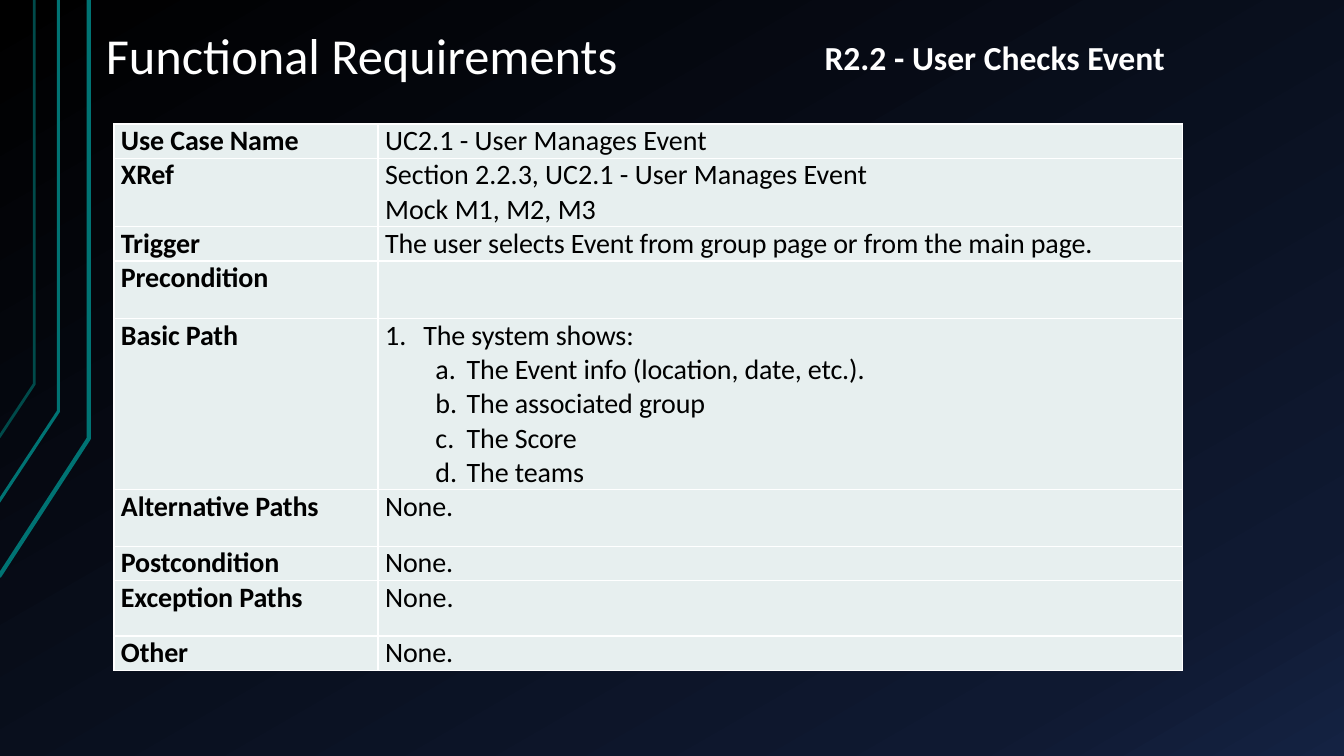
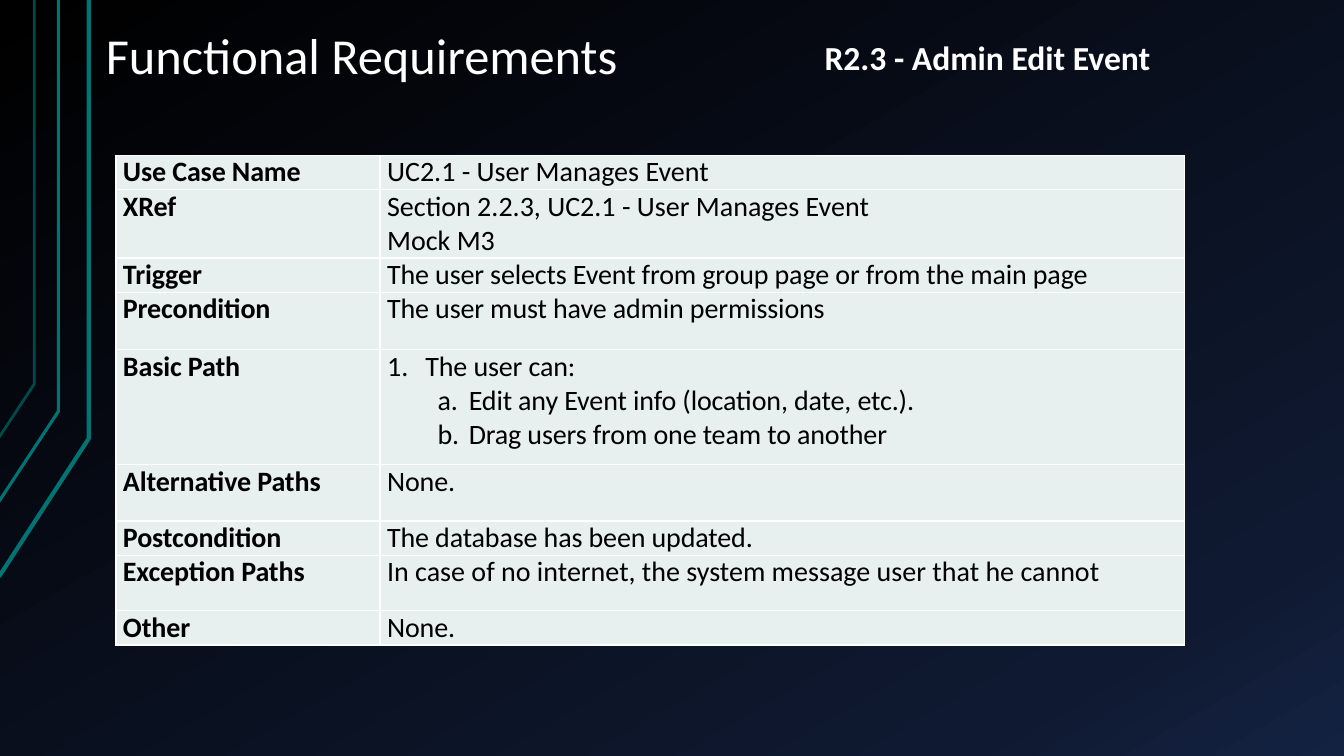
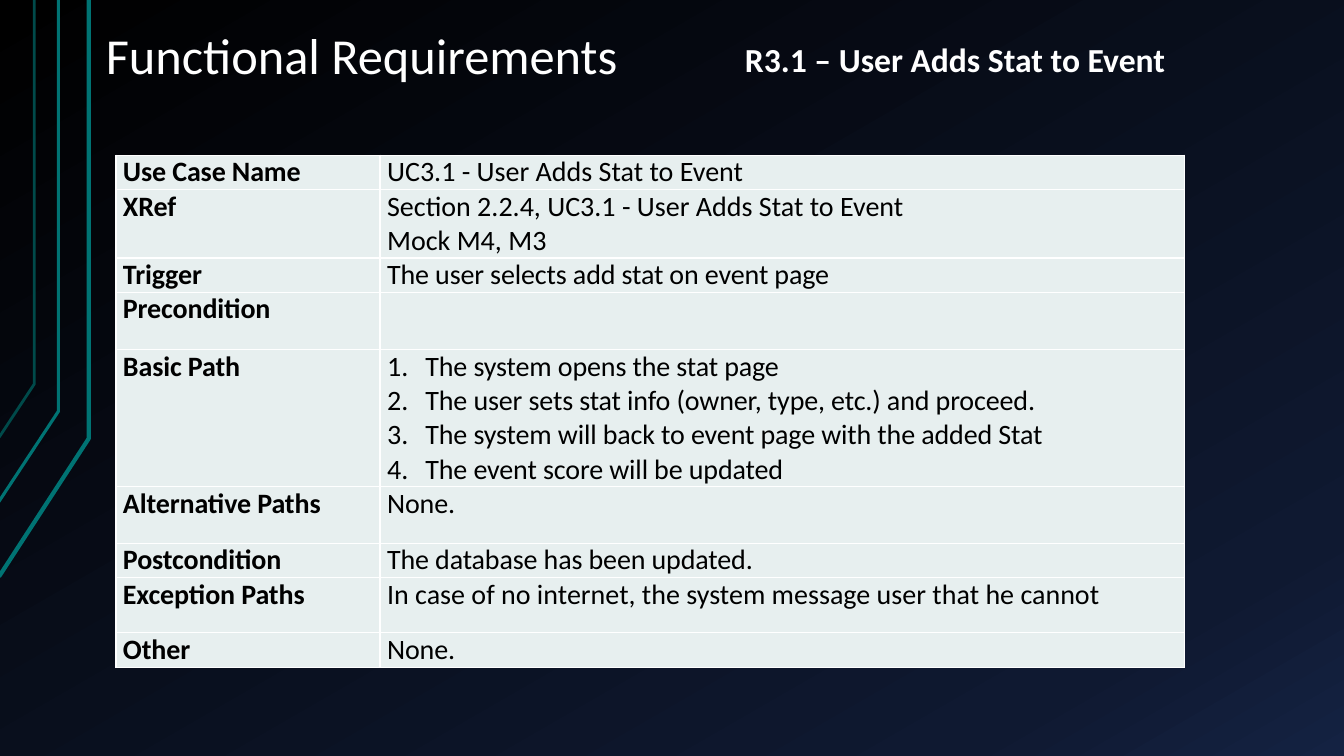
import copy
from dataclasses import dataclass

import pptx
import pptx.dml.color
import pptx.enum.text
import pptx.oxml
import pptx.oxml.ns
import pptx.util
from pptx.util import Inches

COLORS = {
    "white": "FFFFFF",
    "black": "000000",
    "cell": "E7EFEF",
    "teal": "007373",
    "dim_teal": "004A4A",
}
BACKGROUND = [(0, "000000"), (0.85, "0F1931"), (1, "142242")]
FONT = "Calibri"

COLUMNS = [2.62, 7.98]
LINE_HEIGHT = 0.34
# Least height of each row; longer values make it taller
ROWS = {
    "Use Case Name": 0.34,
    "XRef": 0.68,
    "Trigger": 0.34,
    "Precondition": 0.57,
    "Basic Path": 1.14,
    "Alternative Paths": 0.56,
    "Postcondition": 0.34,
    "Exception Paths": 0.55,
    "Other": 0.34,
}
NORMAL_SPACING = {"Use Case Name", "XRef", "Exception Paths"}


@dataclass
class Stripe:
    points: list[tuple[float, float]]
    color: str
    width: float


@dataclass
class ListStyle:
    numbering: str
    level: int
    margin: float
    hanging: float


@dataclass
class Line:
    text: str
    style: ListStyle | None = None


@dataclass
class UseCase:
    heading: str
    heading_at: tuple[float, float, float]
    table_at: tuple[float, float]
    values: list[list[Line]]


STRIPES = [
    Stripe([(-0.01, 5.72), (0.88, 4.35), (0.88, 0)], "teal", 3),
    Stripe([(-0.02, 4.99), (0.58, 4.08), (0.58, 0)], "teal", 2.25),
    Stripe([(-0.01, 4.34), (0.34, 3.81), (0.34, 0)], "dim_teal", 2),
]
STEP = ListStyle("arabicPeriod", 0, 0.38, 0.38)
SUBSTEP = ListStyle("alphaLcPeriod", 1, 0.81, 0.31)
NONE = [Line("None.")]
UPDATED = [Line("The database has been updated.")]
NO_INTERNET = [Line("In case of no internet, the system message user that he cannot")]

USE_CASES = [
    UseCase("R2.2 - User Checks Event", (8.08, 0.32, 3.61), (1.13, 1.23), [
        [Line("UC2.1 - User Manages Event")],
        [Line("Section 2.2.3, UC2.1 - User Manages Event"), Line("Mock M1, M2, M3")],
        [Line("The user selects Event from group page or from the main page.")],
        [],
        [Line("The system shows:", STEP),
         Line("The Event info (location, date, etc.).", SUBSTEP),
         Line("The associated group", SUBSTEP),
         Line("The Score", SUBSTEP),
         Line("The teams", SUBSTEP)],
        NONE, NONE, NONE, NONE,
    ]),
    UseCase("R2.3 - Admin Edit Event", (8.08, 0.32, 3.46), (1.15, 1.54), [
        [Line("UC2.1 - User Manages Event")],
        [Line("Section 2.2.3, UC2.1 - User Manages Event"), Line("Mock M3")],
        [Line("The user selects Event from group page or from the main page")],
        [Line("The user must have admin permissions")],
        [Line("The user can:", STEP),
         Line("Edit any Event info (location, date, etc.).", SUBSTEP),
         Line("Drag users from one team to another", SUBSTEP)],
        NONE, UPDATED, NO_INTERNET, NONE,
    ]),
    UseCase("R3.1 – User Adds Stat to Event", (7.29, 0.34, 4.41), (1.15, 1.54), [
        [Line("UC3.1 - User Adds Stat to Event")],
        [Line("Section 2.2.4, UC3.1 - User Adds Stat to Event"), Line("Mock M4, M3")],
        [Line("The user selects add stat on event page")],
        [],
        [Line("The system opens the stat page", STEP),
         Line("The user sets stat info (owner, type, etc.) and proceed.", STEP),
         Line("The system will back to event page with the added Stat", STEP),
         Line("The event score will be updated", STEP)],
        NONE, UPDATED, NO_INTERNET, NONE,
    ]),
]


def rgb(name: str) -> pptx.dml.color.RGBColor:
    return pptx.dml.color.RGBColor.from_string(COLORS[name])


def style_run(r, size: float, color: str, bold: bool = False) -> None:
    r.font.name = FONT
    r.font.size = pptx.util.Pt(size)
    r.font.bold = bold
    r.font.color.rgb = rgb(color)


# Shared background, stripes and text
def set_background(master) -> None:
    fill = master.background.fill
    fill.gradient()
    fill.gradient_angle = 300
    stops = next(master.element.iter(pptx.oxml.ns.qn("a:gsLst")))
    stops.append(copy.deepcopy(stops[-1]))
    for stop, (position, color) in zip(fill.gradient_stops, BACKGROUND):
        stop.position = position
        stop.color.rgb = pptx.dml.color.RGBColor.from_string(color)


def add_stripe(s, stripe: Stripe) -> None:
    start, *rest = [(Inches(x), Inches(y)) for x, y in stripe.points]
    builder = s.shapes.build_freeform(*start)
    builder.add_line_segments(rest, close=False)
    sp = builder.convert_to_shape()
    sp.shadow.inherit = False
    sp.fill.background()
    sp.line.color.rgb = rgb(stripe.color)
    sp.line.width = pptx.util.Pt(stripe.width)


def add_text(s, text: str, at: tuple[float, float, float, float],
             size: float, bold: bool = False):
    tf = s.shapes.add_textbox(*map(Inches, at)).text_frame
    tf.text = text
    style_run(tf.paragraphs[0].runs[0], size, "white", bold)
    return tf


def add_title(s) -> None:
    tf = add_text(s, "Functional Requirements", (0.92, -0.42, 11.33, 1.34), 36)
    tf.word_wrap = True
    tf.vertical_anchor = pptx.enum.text.MSO_ANCHOR.BOTTOM
    tf.margin_left = tf.margin_right = Inches(0.13)
    tf.margin_top = tf.margin_bottom = Inches(0.07)
    tf.paragraphs[0].line_spacing = 0.9


def add_heading(s, text: str, at: tuple[float, float, float]) -> None:
    tf = add_text(s, text, (*at, 0.5), 24, bold=True)
    tf.word_wrap = False
    tf.auto_size = pptx.enum.text.MSO_AUTO_SIZE.SHAPE_TO_FIT_TEXT
    tf.vertical_anchor = pptx.enum.text.MSO_ANCHOR.MIDDLE


# Use case table
def set_list_style(p, style: ListStyle) -> None:
    p.level = style.level
    pPr = p._p.get_or_add_pPr()
    pPr.set("marL", str(Inches(style.margin)))
    pPr.set("indent", str(-Inches(style.hanging)))
    number = pptx.oxml.parse_xml(
        f'<a:buAutoNum {pptx.oxml.ns.nsdecls("a")} type="{style.numbering}"/>')
    pPr.append(number)


def set_borders(cell) -> None:
    tcPr = cell._tc.get_or_add_tcPr()
    for i, side in enumerate(("lnL", "lnR", "lnT", "lnB")):
        tcPr.insert(i, pptx.oxml.parse_xml(
            f'<a:{side} {pptx.oxml.ns.nsdecls("a")} w="12700"><a:solidFill>'
            f'<a:srgbClr val="{COLORS["white"]}"/></a:solidFill></a:{side}>'))


def fill_cell(cell, lines: list[Line], bold: bool, tight: bool) -> None:
    cell.fill.solid()
    cell.fill.fore_color.rgb = rgb("cell")
    cell.margin_left = cell.margin_right = Inches(0.07)
    cell.margin_top = cell.margin_bottom = 0
    set_borders(cell)
    tf = cell.text_frame
    tf.text = "\n".join(line.text for line in lines)
    for p, line in zip(tf.paragraphs, lines):
        r = p.runs[0]
        style_run(r, 20, "black", bold)
        if tight:
            r._r.get_or_add_rPr().set("spc", "-10")
        if line.style:
            set_list_style(p, line.style)


def add_use_case_table(s, case: UseCase) -> None:
    heights = [max(least, LINE_HEIGHT * len(lines))
               for least, lines in zip(ROWS.values(), case.values)]
    size = sum(COLUMNS), sum(heights)
    table = s.shapes.add_table(
        len(ROWS), len(COLUMNS), *map(Inches, case.table_at + size)).table
    table.first_row = table.horz_banding = False
    for column, width in zip(table.columns, COLUMNS):
        column.width = Inches(width)
    for row, label, height, lines in zip(table.rows, ROWS, heights, case.values):
        row.height = Inches(height)
        fill_cell(row.cells[0], [Line(label)], bold=True, tight=True)
        fill_cell(row.cells[1], lines, bold=False, tight=label not in NORMAL_SPACING)


def main() -> None:
    prs = pptx.Presentation()
    prs.slide_width, prs.slide_height = Inches(13.33), Inches(7.5)
    set_background(prs.slide_master)
    for case in USE_CASES:
        s = prs.slides.add_slide(prs.slide_layouts[6])
        for stripe in STRIPES:
            add_stripe(s, stripe)
        add_title(s)
        add_use_case_table(s, case)
        add_heading(s, case.heading, case.heading_at)
    prs.save("out.pptx")


if __name__ == "__main__":
    main()
